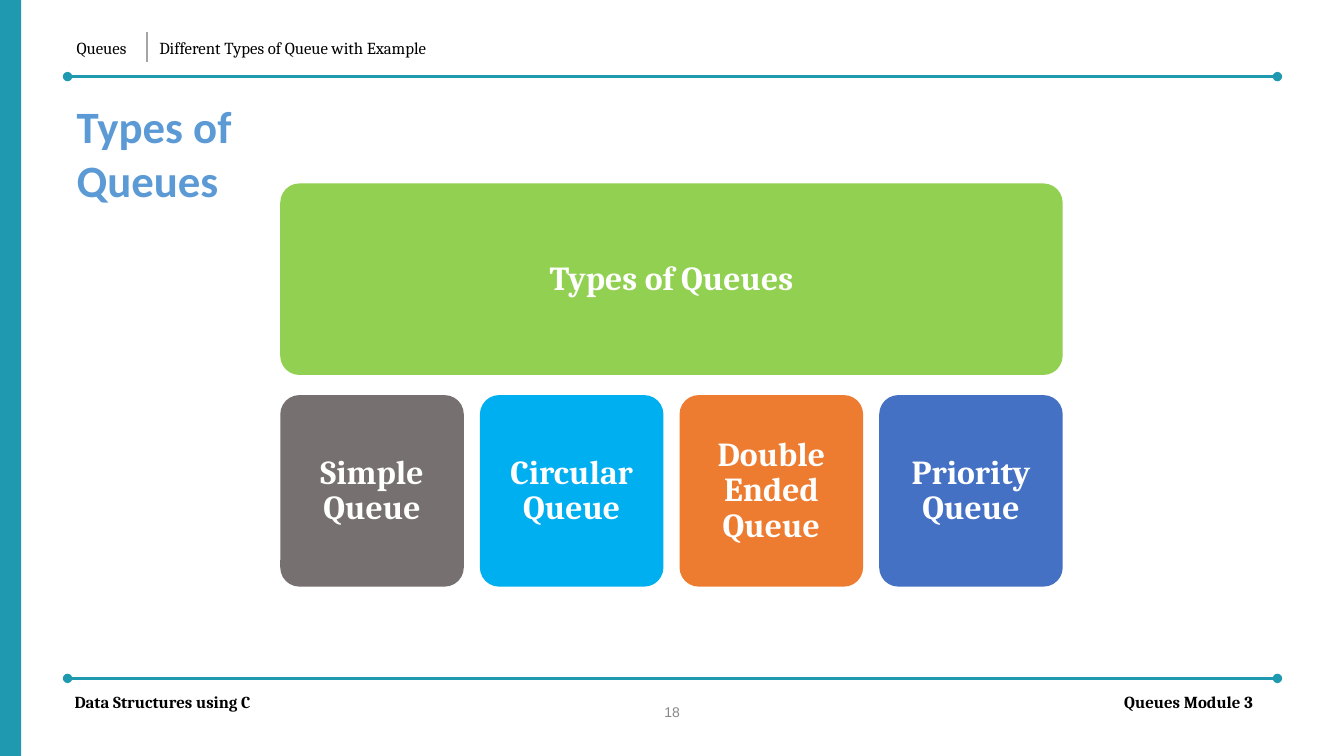
from lxml.etree import SubElement
from pptx import Presentation
from pptx.dml.color import RGBColor
from pptx.enum.shapes import MSO_CONNECTOR as Connector, MSO_SHAPE as Shape
from pptx.enum.text import MSO_ANCHOR as Anchor, PP_ALIGN as Align
from pptx.oxml.ns import qn
from pptx.util import Inches, Pt

TEAL = RGBColor(0x1E, 0x99, 0xAF)
BLACK = RGBColor(0x00, 0x00, 0x00)
WHITE = RGBColor(0xFF, 0xFF, 0xFF)
RULE_GRAY = RGBColor(0xA5, 0xA5, 0xA5)
NUMBER_GRAY = RGBColor(0x88, 0x88, 0x88)
TITLE_BLUE = RGBColor(0x5B, 0x9A, 0xD5)
GREEN = RGBColor(0x91, 0xD0, 0x50)
STONE = RGBColor(0x76, 0x70, 0x70)
SKY = RGBColor(0x00, 0xAF, 0xF0)
ORANGE = RGBColor(0xED, 0x7C, 0x30)
BLUE = RGBColor(0x44, 0x71, 0xC4)

CARD_LEFT, CARD_TOP = 2.78, 1.82
CARD_WIDTH, CARD_HEIGHT = 1.82, 1.9
COLUMN_STEP, ROW_STEP = 1.98, 2.1
CORNER = 0.19


class QueueSlide:
    font = "Cambria"

    def __init__(self, page):
        self.page = page

    def add_span(self, para, text, size, color, bold=False, font=None):
        span = para.add_run()
        span.text = text
        span.font.name = font or self.font
        span.font.size = Pt(size)
        span.font.bold = bold
        span.font.color.rgb = color

    def label(self, text, left, top, width, height, size=12, color=BLACK,
              bold=False, font=None, right_margin=None):
        """Add a text box; it wraps only when a right margin is given."""
        box = self.page.shapes.add_textbox(
            Inches(left), Inches(top), Inches(width), Inches(height))
        frame = box.text_frame
        frame.margin_left = Inches(0.01)
        frame.margin_top = frame.margin_bottom = 0
        frame.margin_right = Inches(right_margin or 0)
        frame.word_wrap = right_margin is not None
        self.add_span(frame.paragraphs[0], text, size, color, bold, font)

    def block(self, kind, left, top, width, height, fill):
        shape = self.page.shapes.add_shape(
            kind, Inches(left), Inches(top), Inches(width), Inches(height))
        shape.shadow.inherit = False
        shape.fill.solid()
        shape.fill.fore_color.rgb = fill
        shape.line.fill.background()
        return shape

    def card(self, text, left, top, width, fill):
        shape = self.block(Shape.ROUNDED_RECTANGLE, left, top, width, CARD_HEIGHT, fill)
        shape.adjustments[0] = CORNER / min(width, CARD_HEIGHT)
        frame = shape.text_frame
        frame.word_wrap = True
        frame.margin_left = frame.margin_right = Inches(0.2)
        frame.vertical_anchor = Anchor.MIDDLE
        para = frame.paragraphs[0]
        para.alignment = Align.CENTER
        para.line_spacing = Pt(25.3)
        self.add_span(para, text, 24, WHITE, bold=True)

    def rule(self, start, end, color, weight, dots=False):
        line = self.page.shapes.add_connector(
            Connector.STRAIGHT, *map(Inches, start + end))
        line.line.color.rgb = color
        line.line.width = Pt(weight)
        properties = line._element.spPr
        if dots:
            outline = properties.find(qn("a:ln"))
            for tag in ("a:headEnd", "a:tailEnd"):
                SubElement(outline, qn(tag), type="oval", w="med", len="med")
        SubElement(properties, qn("a:effectLst"))


def main():
    deck = Presentation()
    deck.slide_width, deck.slide_height = Inches(13.33), Inches(7.5)
    slide = QueueSlide(deck.slides.add_slide(deck.slide_layouts[6]))

    slide.block(Shape.RECTANGLE, 0, 0, 0.21, 7.5, TEAL)
    for height in (0.76, 6.73):
        slide.rule((0.67, height), (12.67, height), TEAL, 2.25, dots=True)

    slide.label("Queues", 0.75, 0.37, 0.55, 0.21)
    slide.rule((1.46, 0.32), (1.46, 0.62), RULE_GRAY, 1)
    slide.label("Different Types of Queue with Example", 1.57, 0.37, 2.8, 0.21)
    slide.label("Types of Queues", 0.75, 0.98, 3.07, 0.57, size=32, color=TITLE_BLUE,
                bold=True, font="Calibri", right_margin=1)

    kinds = [("Simple Queue", STONE), ("Circular Queue", SKY),
             ("Double Ended Queue", ORANGE), ("Priority Queue", BLUE)]
    full_width = COLUMN_STEP * (len(kinds) - 1) + CARD_WIDTH
    slide.card("Types of Queues", CARD_LEFT, CARD_TOP, full_width, GREEN)
    for column, (name, fill) in enumerate(kinds):
        slide.card(name, CARD_LEFT + column * COLUMN_STEP, CARD_TOP + ROW_STEP,
                   CARD_WIDTH, fill)

    slide.label("Data Structures using C", 0.73, 6.86, 2.44, 0.41, bold=True)
    slide.label("Queues Module 3", 11.14, 6.86, 1.45, 0.41, bold=True)
    slide.label("18", 6.58, 6.98, 0.21, 0.18, size=10, color=NUMBER_GRAY, font="Arial")

    deck.save("out.pptx")


if __name__ == "__main__":
    main()
